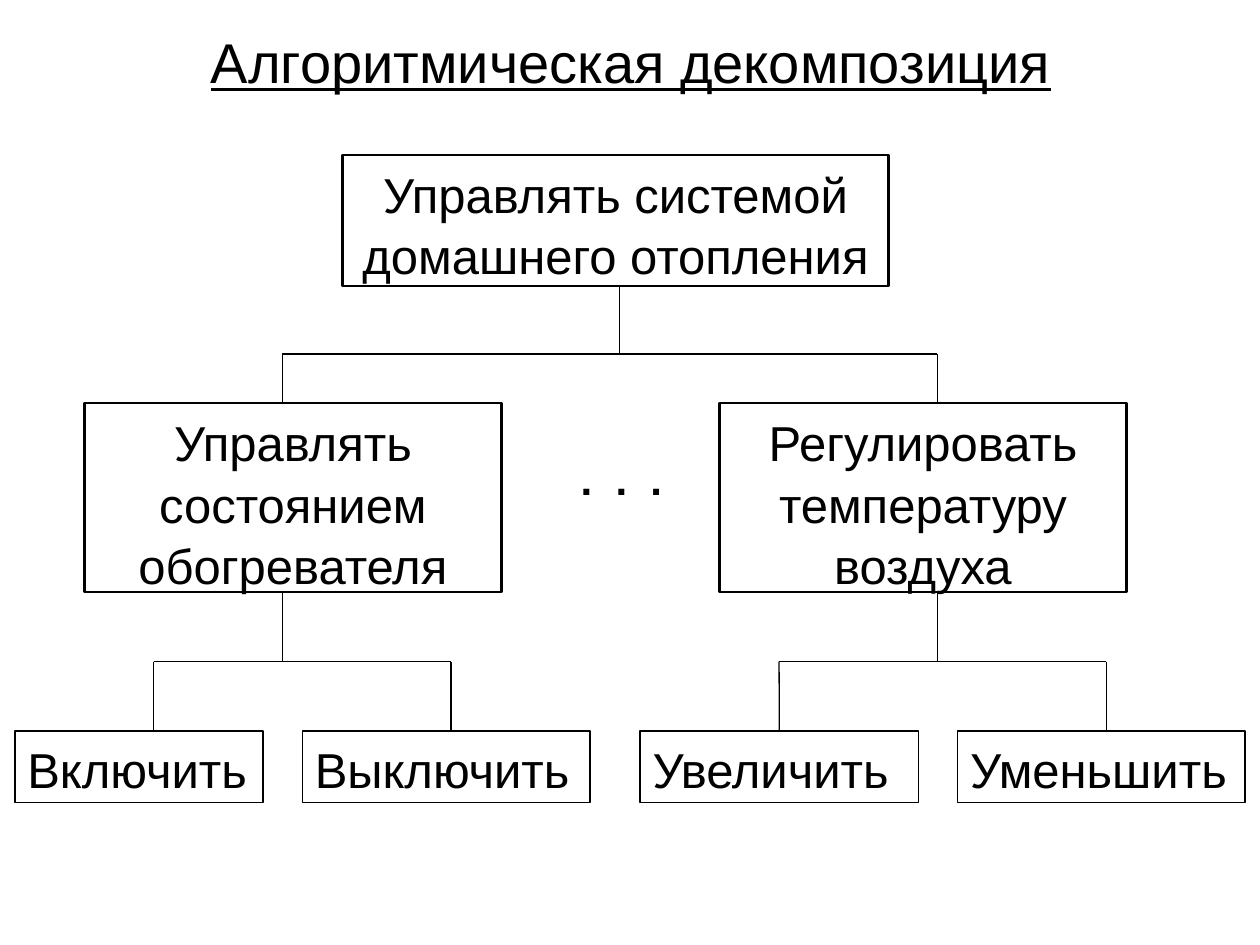
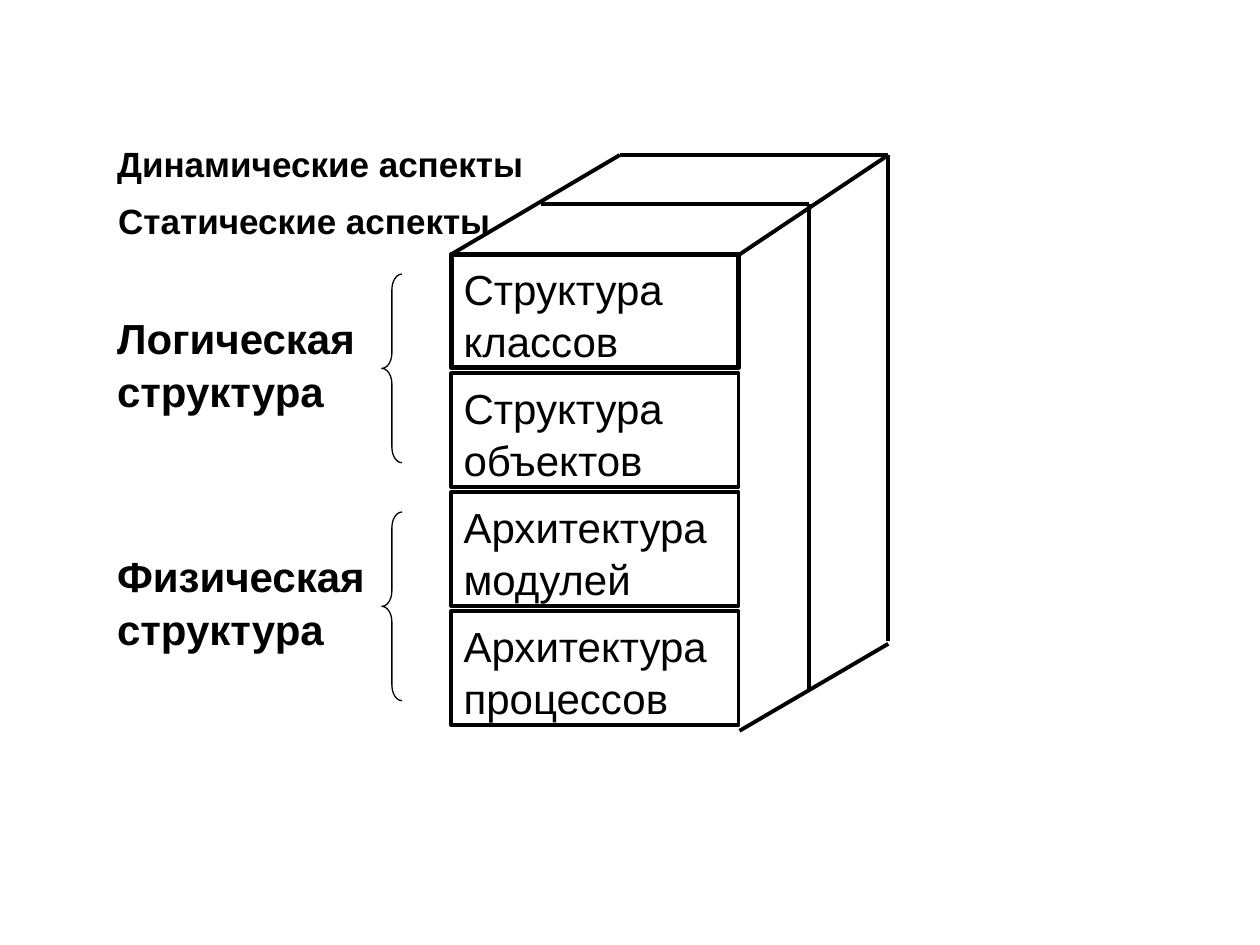
"""Build two slides: an algorithmic decomposition tree and a block of model views."""

from dataclasses import dataclass

from lxml.etree import SubElement
from pptx import Presentation
from pptx.dml.color import RGBColor
from pptx.enum.shapes import MSO_CONNECTOR, MSO_SHAPE as Preset
from pptx.enum.text import MSO_ANCHOR as Anchor, PP_ALIGN as Align
from pptx.oxml.ns import qn
from pptx.shapes.autoshape import Shape
from pptx.shapes.connector import Connector
from pptx.slide import Slide
from pptx.util import Pt

INK = "000000"
PAPER = "FFFFFF"
FONT = "Arial"
LINE_SPACING = 1.05
THIN, LEAF, NODE, THICK, HEAVY = 0.75, 1, 1.5, 2.25, 3
NODE_SIZE = 28
BLOCK_SIZE = 24
TOP_SIDE = 0
JOIN_TOLERANCE = 0.5


@dataclass(frozen=True)
class Frame:
    """Place and size of an element in points."""

    left: float
    top: float
    width: float
    height: float

    @property
    def bottom(self) -> float:
        """Return the lower edge."""
        return self.top + self.height

    @property
    def middle(self) -> float:
        """Return the horizontal middle."""
        return self.left + self.width / 2


@dataclass(frozen=True)
class Style:
    """Look of a text."""

    size: float
    bold: bool = False
    underline: bool = False
    align: Align = Align.LEFT
    wrap: bool = True


@dataclass(frozen=True)
class Label:
    """A free text on the page."""

    text: str
    frame: Frame
    style: Style


@dataclass(frozen=True)
class Node:
    """A box of the tree with the x of its connecting stem."""

    text: str
    frame: Frame
    stem: float
    bus: float = 0
    children: tuple["Node", ...] = ()


@dataclass(frozen=True)
class Edge:
    """A straight line between two points."""

    x1: float
    y1: float
    x2: float
    y2: float


def color(value: str) -> RGBColor:
    """Turn a hex string into a colour."""
    return RGBColor.from_string(value)


def write(shape: Shape, text: str, style: Style) -> None:
    """Fill a shape with text, one paragraph a line."""
    body = shape.text_frame
    body.word_wrap = style.wrap
    body.vertical_anchor = Anchor.TOP
    body.text = text
    for para in body.paragraphs:
        para.alignment = style.align
        para.line_spacing = LINE_SPACING
        font = para.font
        font.name, font.size = FONT, Pt(style.size)
        font.bold, font.underline = style.bold, style.underline
        font.color.rgb = color(INK)


def place(frame: Frame) -> tuple[Pt, Pt, Pt, Pt]:
    """Give a frame as lengths."""
    return Pt(frame.left), Pt(frame.top), Pt(frame.width), Pt(frame.height)


def draw_label(page: Slide, label: Label) -> Shape:
    """Draw a free text."""
    box = page.shapes.add_textbox(*place(label.frame))
    write(box, label.text, label.style)
    return box


def draw_outline(page: Slide, preset: Preset, frame: Frame, weight: float) -> Shape:
    """Draw an unfilled preset shape."""
    shape = page.shapes.add_shape(preset, *place(frame))
    shape.shadow.inherit = False
    shape.fill.background()
    shape.line.color.rgb = color(INK)
    shape.line.width = Pt(weight)
    return shape


def draw_box(page: Slide, text: str, frame: Frame, weight: float, style: Style) -> Shape:
    """Draw an outlined rectangle with text."""
    box = draw_outline(page, Preset.RECTANGLE, frame, weight)
    write(box, text, style)
    return box


def draw_edge(page: Slide, edge: Edge, weight: float) -> Connector:
    """Draw a straight line without a shadow."""
    line = page.shapes.add_connector(
        MSO_CONNECTOR.STRAIGHT, Pt(edge.x1), Pt(edge.y1), Pt(edge.x2), Pt(edge.y2)
    )
    line.line.color.rgb = color(INK)
    line.line.width = Pt(weight)
    SubElement(line._element.spPr, qn("a:effectLst"))
    return line


def draw_tree(page: Slide, node: Node) -> Shape:
    """Draw a node, its children and the lines between them."""
    align = Align.CENTER if node.children else Align.LEFT
    weight = NODE if node.children else LEAF
    box = draw_box(page, node.text, node.frame, weight, Style(NODE_SIZE, align=align))
    if node.children:
        stems = [child.stem for child in node.children]
        draw_edge(page, Edge(node.stem, node.frame.bottom, node.stem, node.bus), THIN)
        draw_edge(page, Edge(min(stems), node.bus, max(stems), node.bus), THIN)
    for child in node.children:
        child_box = draw_tree(page, child)
        drop = draw_edge(page, Edge(child.stem, node.bus, child.stem, child.frame.top), THIN)
        if abs(child.stem - child.frame.middle) < JOIN_TOLERANCE:
            drop.end_connect(child_box, TOP_SIDE)
    return box


def leaf(text: str, left: float, width: float, stem: float) -> Node:
    """Make a node of the lowest row."""
    return Node(text, Frame(left, 417.6, width, 41), stem)


def branch(text: str, left: float, width: float, stem: float, *leaves: Node) -> Node:
    """Make a node of the middle row."""
    return Node(text, Frame(left, 230.4, width, 108), stem, 378, leaves)


TREE = Node(
    "Управлять системой домашнего отопления",
    Frame(195.8, 88.6, 311.8, 74.9),
    354.2,
    202.3,
    (
        branch(
            "Управлять состоянием обогревателя", 48.2, 238.3, 161.3,
            leaf("Включить", 8.6, 141.8, 87.8),
            leaf("Выключить", 172.8, 164.2, 257.8),
        ),
        branch(
            "Регулировать температуру воздуха", 411.1, 232.6, 535.7,
            leaf("Увеличить", 365.8, 159.1, 445.2),
            leaf("Уменьшить", 547.2, 164.2, 632.2),
        ),
    ),
)

TITLE = Label(
    "Алгоритмическая декомпозиция",
    Frame(36.7, 10, 648, 48),
    Style(32, underline=True, align=Align.CENTER),
)
ELLIPSIS = Label(". . .", Frame(324.7, 254.2, 61.2, 36), Style(24, bold=True, wrap=False))
ELLIPSIS_TRACKING = "333"

BLOCKS = (
    "Структура\nклассов",
    "Структура объектов",
    "Архитектура\nмодулей",
    "Архитектура\nпроцессов",
)
BLOCK_LEFT, BLOCK_TOP, BLOCK_WIDTH, BLOCK_HEIGHT, BLOCK_STEP = 257.8, 145.4, 164.2, 64.8, 68
FRONT_RIGHT, MIDDLE_RIGHT, BACK_RIGHT = 422.6, 462.2, 507.6
BACK_TOP, MIDDLE_TOP = 88.6, 116.6

PRISM_EDGES = (
    Edge(FRONT_RIGHT, BLOCK_TOP, BACK_RIGHT, BACK_TOP),
    Edge(BLOCK_LEFT, BLOCK_TOP, 354.2, BACK_TOP),
    Edge(354.2, BACK_TOP, BACK_RIGHT, BACK_TOP),
    Edge(BACK_RIGHT, BACK_TOP, BACK_RIGHT, 366.5),
    Edge(FRONT_RIGHT, 417.6, BACK_RIGHT, 367.9),
    Edge(308.9, MIDDLE_TOP, MIDDLE_RIGHT, MIDDLE_TOP),
    Edge(MIDDLE_RIGHT, MIDDLE_TOP, MIDDLE_RIGHT, 394.6),
)

GROUPS = ("Логическая\nструктура", "Физическая\nструктура")
GROUP_STEP = 2 * BLOCK_STEP
ASPECTS = (
    Label("Динамические аспекты", Frame(59.8, 77, 260.6, 31.7), Style(20, bold=True)),
    Label("Статические аспекты", Frame(60.5, 109.4, 227.5, 31.7), Style(20, bold=True, wrap=False)),
)


def add_page(deck: Presentation) -> Slide:
    """Add a blank page with the shared background."""
    page = deck.slides.add_slide(deck.slide_layouts[6])
    page.background.fill.solid()
    page.background.fill.fore_color.rgb = color(PAPER)
    return page


def build_decomposition(page: Slide) -> None:
    """Draw the tree of heating functions."""
    draw_label(page, TITLE)
    draw_tree(page, TREE)
    dots = draw_label(page, ELLIPSIS)
    for span in dots.text_frame.paragraphs[0].runs:
        span._r.get_or_add_rPr().set("spc", ELLIPSIS_TRACKING)


def build_views(page: Slide) -> None:
    """Draw the prism of model views with its labels."""
    for row, text in enumerate(BLOCKS):
        frame = Frame(BLOCK_LEFT, BLOCK_TOP + row * BLOCK_STEP, BLOCK_WIDTH, BLOCK_HEIGHT)
        draw_box(page, text, frame, THICK if row else HEAVY, Style(BLOCK_SIZE))
    for edge in PRISM_EDGES:
        draw_edge(page, edge, THICK)
    for row, text in enumerate(GROUPS):
        shift = row * GROUP_STEP
        draw_label(page, Label(text, Frame(59.8, 173.5 + shift, 162, 64.8), Style(BLOCK_SIZE, bold=True)))
        brace = draw_outline(page, Preset.LEFT_BRACE, Frame(218.2, 156.6 + shift, 11.5, 107.8), THIN)
        brace.adjustments[0] = 0.77
    for label in ASPECTS:
        draw_label(page, label)


def main() -> None:
    """Build and save the deck."""
    deck = Presentation()
    deck.slide_width, deck.slide_height = Pt(720), Pt(540)
    for build in (build_decomposition, build_views):
        build(add_page(deck))
    deck.save("out.pptx")


if __name__ == "__main__":
    main()
